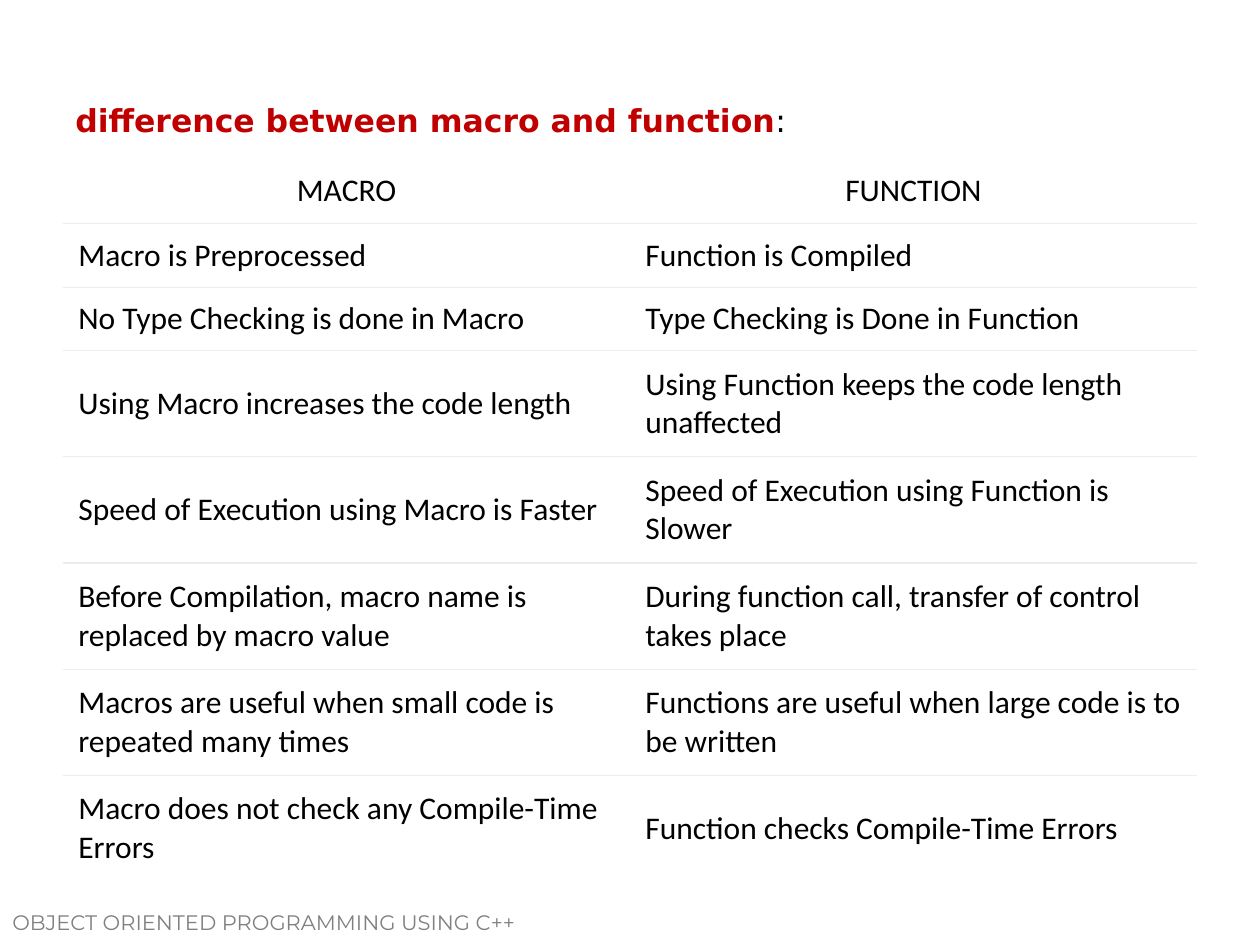
from lxml import etree
from pptx import Presentation
from pptx.dml.color import RGBColor
from pptx.enum.text import MSO_ANCHOR, PP_ALIGN
from pptx.oxml.ns import qn
from pptx.util import Cm, Pt

MIDDLE = MSO_ANCHOR.MIDDLE
CENTER, LEFT = PP_ALIGN.CENTER, PP_ALIGN.LEFT

BLACK = RGBColor(0x00, 0x00, 0x00)
RED = RGBColor(0xC0, 0x00, 0x00)
GREY = RGBColor(0x80, 0x80, 0x80)
RULE = RGBColor(0xED, 0xED, 0xED)

ROWS = [
    ("MACRO", "FUNCTION"),
    ("Macro is Preprocessed", "Function is Compiled"),
    ("No Type Checking is done in Macro", "Type Checking is Done in Function"),
    ("Using Macro increases the code length",
     "Using Function keeps the code length unaffected"),
    ("Speed of Execution using Macro is Faster",
     "Speed of Execution using Function is Slower"),
    ("Before Compilation, macro name is replaced by macro value",
     "During function call, transfer of control takes place"),
    ("Macros are useful when small code is repeated many times",
     "Functions are useful when large code is to be written"),
    ("Macro does not check any Compile-Time Errors",
     "Function checks Compile-Time Errors"),
]
HEIGHTS = [1.33] + [1.28] * 2 + [2.14] * 5


def style(font, name, size, color, bold=False):
    font.name, font.size, font.bold = name, Pt(size), bold
    font.color.rgb = color


def add_text(slide, box, text, wrap=True):
    frame = slide.shapes.add_textbox(*map(Cm, box)).text_frame
    frame.word_wrap = wrap
    para = frame.paragraphs[0]
    para.add_run().text = text
    return para


def add_title(slide, box):
    para = add_text(slide, box, "difference between macro and function", False)
    para.add_run().text = ":"
    for run, color, bold in zip(para.runs, (RED, BLACK), (True, False)):
        style(run.font, "DejaVu Sans", 18, color, bold)


def add_footer(slide, box):
    para = add_text(slide, box, "OBJECT ORIENTED PROGRAMMING USING C++")
    style(para.font, "Montserrat", 12, GREY)


def set_edges(cell, top, bottom):
    """Draw rules above and below as asked, and hide the other edges."""
    props = cell._tc.get_or_add_tcPr()
    edges = {"a:lnL": False, "a:lnR": False, "a:lnT": top, "a:lnB": bottom}
    for spot, (tag, shown) in enumerate(edges.items()):
        line = etree.Element(qn(tag), w=str(Pt(0.75)))
        props.insert(spot, line)
        fill = etree.SubElement(line, qn("a:solidFill" if shown else "a:noFill"))
        if shown:
            etree.SubElement(fill, qn("a:srgbClr"), val=str(RULE))


def fill_cell(cell, text, head):
    cell.fill.background()
    cell.vertical_anchor = MIDDLE
    cell.margin_left = cell.margin_right = Cm(0.18 if head else 0.31)
    cell.margin_top = cell.margin_bottom = Cm(0.18 if head else 0.15)
    cell.text = text
    para = cell.text_frame.paragraphs[0]
    para.alignment = CENTER if head else LEFT
    style(para.font, "Calibri", 18, BLACK)


def add_grid(slide, left, top, width):
    count = len(ROWS[0])
    table = slide.shapes.add_table(
        len(ROWS), count, Cm(left), Cm(top), Cm(width), Cm(sum(HEIGHTS))).table
    table.first_row = table.horz_banding = False
    for col in table.columns:
        col.width = Cm(width / count)
    last = len(ROWS) - 1
    for i, (texts, height) in enumerate(zip(ROWS, HEIGHTS)):
        table.rows[i].height = Cm(height)
        for j, text in enumerate(texts):
            cell = table.cell(i, j)
            fill_cell(cell, text, i == 0)
            set_edges(cell, i > 0, i < last)


def main():
    deck = Presentation()
    deck.slide_width, deck.slide_height = Cm(25.4), Cm(19.05)
    slide = deck.slides.add_slide(deck.slide_layouts[6])
    add_footer(slide, (0, 18.21, 12.7, 1.07))
    add_grid(slide, 1.27, 3.18, 22.86)
    add_title(slide, (1.27, 1.91, 14.99, 1.02))
    deck.save("out.pptx")


if __name__ == "__main__":
    main()
